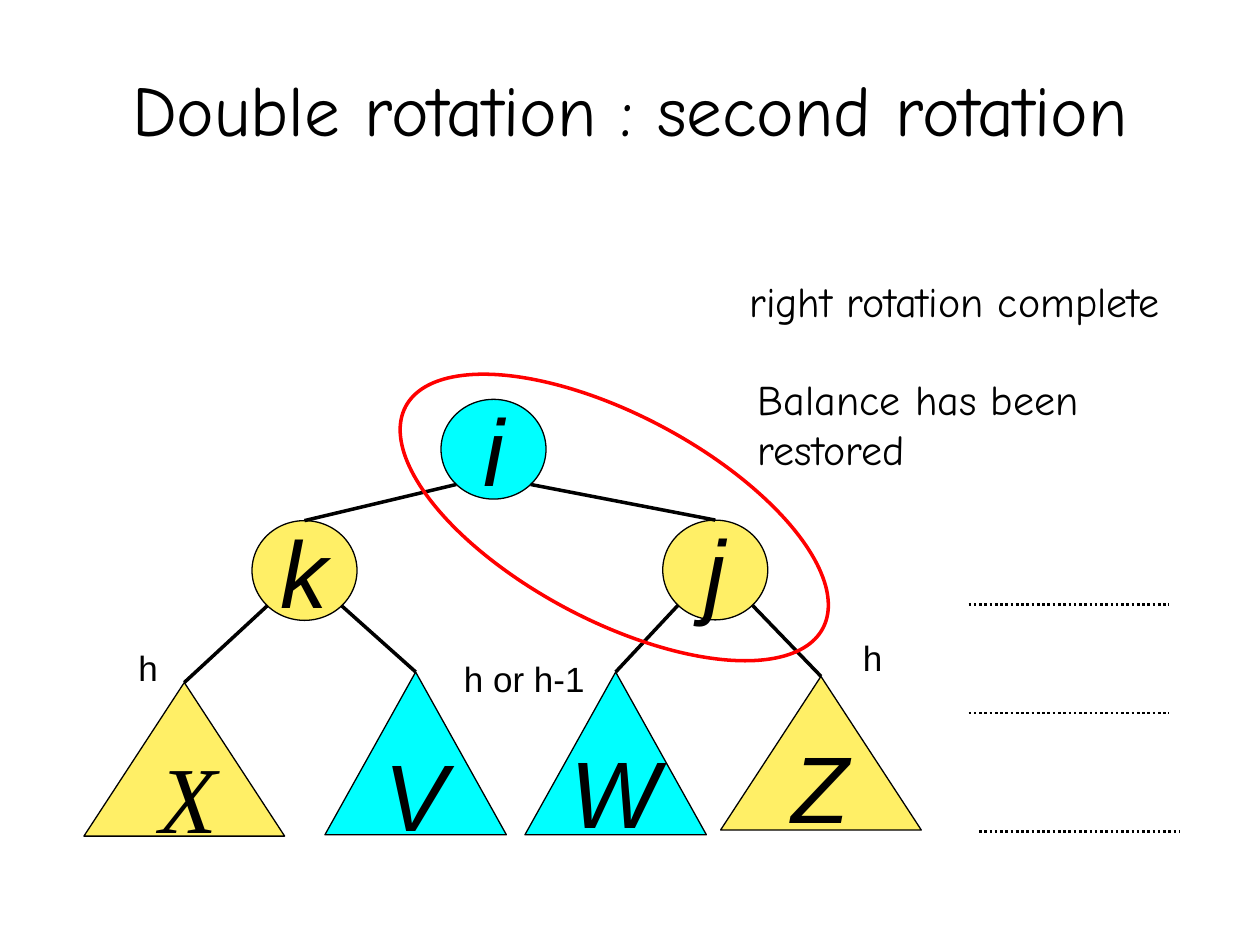
from pptx import Presentation
from pptx.dml.color import RGBColor
from pptx.enum import dml, shapes, text
from pptx.oxml.ns import qn
from pptx.util import Pt
from lxml import etree
import math

BLACK = RGBColor(0x00, 0x00, 0x00)
YELLOW = RGBColor(0xFF, 0xEF, 0x66)
CYAN = RGBColor(0x00, 0xFF, 0xFF)
RED = RGBColor(0xFF, 0x00, 0x00)
KINDS = shapes.MSO_SHAPE
ANCHORS = text.MSO_ANCHOR
LEFT, CENTER = text.PP_ALIGN.LEFT, text.PP_ALIGN.CENTER


def write(shape, lines, font, size, italic=False, align=LEFT,
          anchor=ANCHORS.TOP, wrap=False):
    frame = shape.text_frame
    frame.word_wrap = wrap
    frame.vertical_anchor = anchor
    for number, line in enumerate(lines):
        paragraph = frame.add_paragraph() if number else frame.paragraphs[0]
        paragraph.alignment = align
        run = paragraph.add_run()
        run.text = line
        run.font.name = font
        run.font.size = Pt(size)
        run.font.italic = italic
        run.font.color.rgb = BLACK


def add_line(x1, y1, x2, y2, width):
    line = slide.shapes.add_connector(
        shapes.MSO_CONNECTOR.STRAIGHT, Pt(x1), Pt(y1), Pt(x2), Pt(y2))
    line.line.color.rgb = BLACK
    line.line.width = Pt(width)
    etree.SubElement(line._element.spPr, qn("a:effectLst"))
    return line


presentation = Presentation()
presentation.slide_width, presentation.slide_height = Pt(720), Pt(540)
slide = presentation.slides.add_slide(presentation.slide_layouts[5])

# Title
title = slide.shapes.title
title.left, title.top, title.width, title.height = Pt(52.5), Pt(30.2), Pt(615), Pt(63.4)
write(title, ["Double rotation : second rotation"], "Comic Neue", 40.7,
      align=CENTER, anchor=ANCHORS.MIDDLE, wrap=True)

# Tree nodes and subtrees: name, kind, left, top, width, height, fill, label inside
nodes = {}
for name, kind, left, top, width, height, fill, inside in [
    ("i", KINDS.OVAL, 252, 228.2, 60, 57, CYAN, True),
    ("k", KINDS.OVAL, 144, 297.5, 60, 57, YELLOW, True),
    ("j", KINDS.OVAL, 378.7, 297.2, 60, 57, YELLOW, True),
    ("X", KINDS.ISOSCELES_TRIANGLE, 48, 390, 114.7, 87.8, YELLOW, False),
    ("V", KINDS.ISOSCELES_TRIANGLE, 185.7, 384, 103.7, 93, CYAN, True),
    ("W", KINDS.ISOSCELES_TRIANGLE, 300, 384, 103.7, 93, CYAN, False),
    ("Z", KINDS.ISOSCELES_TRIANGLE, 411.8, 386.5, 114.7, 87.8, YELLOW, False),
]:
    node = slide.shapes.add_shape(kind, Pt(left), Pt(top), Pt(width), Pt(height))
    node.shadow.inherit = False
    node.fill.solid()
    node.fill.fore_color.rgb = fill
    node.line.color.rgb = BLACK
    node.line.width = Pt(0.75)
    if inside:
        write(node, [name], "Arial", 54, italic=True, align=CENTER,
              anchor=ANCHORS.MIDDLE)
    nodes[name] = node

# Branches from the lower left or right of a circle to the top of its child
for parent, child, side in [("i", "k", -1), ("i", "j", 1), ("k", "X", -1),
                            ("k", "V", 1), ("j", "W", -1), ("j", "Z", 1)]:
    circle = nodes[parent]
    reach = math.sqrt(0.5) / 2
    x = (circle.left + circle.width * (0.5 + side * reach)) / Pt(1)
    y = (circle.top + circle.height * (0.5 + reach)) / Pt(1)
    branch = add_line(x, y, x, y + 10, 2)
    branch.end_connect(nodes[child], 0)

# Letters laid over the subtrees
for name, font, left, top in [("X", "Times New Roman", 84, 414),
                              ("W", "Arial", 319, 411),
                              ("Z", "Arial", 445, 408)]:
    letter = slide.shapes.add_textbox(Pt(left), Pt(top), Pt(36.7), Pt(72))
    letter.text_frame.margin_top = Pt(8.5)
    write(letter, [name], font, 54, italic=True, wrap=True)

# Dotted level marks
for left, y in [(553.5, 345.5), (553.5, 407.5), (559.5, 475)]:
    level = add_line(left, y, left + 114.5, y, 1.5)
    level.line.dash_style = dml.MSO_LINE.ROUND_DOT

# Ring around the rotated pair
ring = slide.shapes.add_shape(KINDS.OVAL, Pt(216), Pt(237), Pt(270), Pt(117.4))
ring.rotation = 28
ring.shadow.inherit = False
ring.fill.background()
ring.line.color.rgb = RED
ring.line.width = Pt(2)

# Notes and subtree heights
for lines, font, size, left, top, width, height, wrap in [
    (["right rotation complete"], "Comic Neue", 24, 421.2, 154, 250.6, 36, False),
    (["Balance has been", "restored"], "Comic Neue", 24, 426, 209.5, 270, 65, True),
    (["h"], "Arial", 20, 486, 360, 26, 31.7, True),
    (["h"], "Arial", 20, 72, 366, 25.2, 31.7, False),
    (["h or h-1"], "Arial", 20, 258, 372, 83.5, 31.7, False),
]:
    label = slide.shapes.add_textbox(Pt(left), Pt(top), Pt(width), Pt(height))
    write(label, lines, font, size, wrap=wrap,
          anchor=ANCHORS.MIDDLE if len(lines) > 1 else ANCHORS.TOP)

presentation.save("out.pptx")
